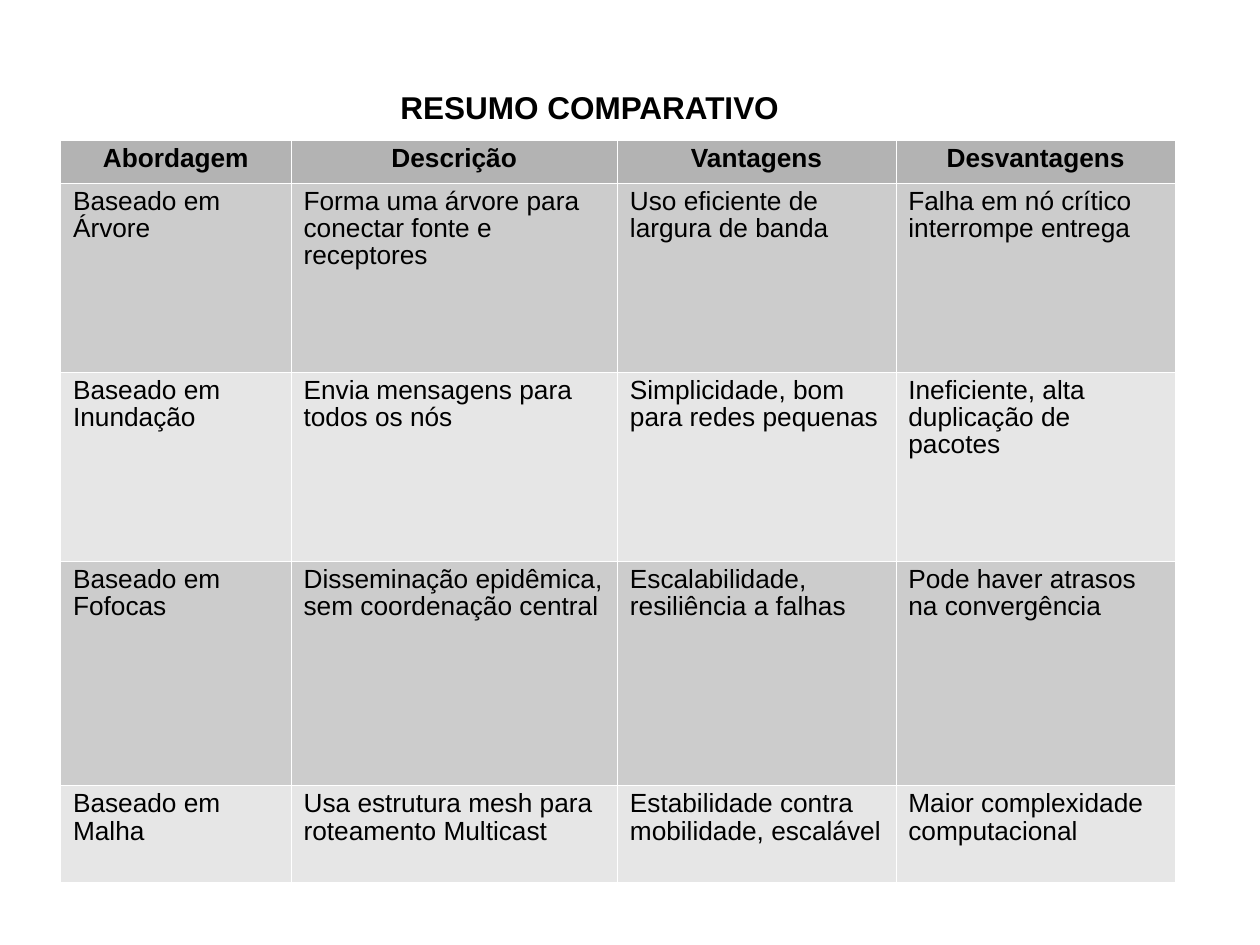
from lxml import etree
from pptx import Presentation
from pptx.dml.color import RGBColor
from pptx.enum.text import PP_ALIGN
from pptx.oxml.ns import qn
from pptx.util import Inches, Pt

CENTER, LEFT = PP_ALIGN.CENTER, PP_ALIGN.LEFT
FONT = "Arial"
BLACK, WHITE = "000000", "FFFFFF"
HEADER_FILL = "B3B3B3"
BAND_FILLS = ("CCCCCC", "E6E6E6")
BORDER_WIDTH = Pt(0.06)

COLUMN_WIDTHS = (1.83, 2.59, 2.21, 2.22)
ROW_HEIGHTS = (0.34, 1.5, 1.5, 1.78, 0.77)
APPROACHES = (
    ("Abordagem", "Descrição", "Vantagens", "Desvantagens"),
    ("Baseado em Árvore", "Forma uma árvore para conectar fonte e receptores",
     "Uso eficiente de largura de banda", "Falha em nó crítico interrompe entrega"),
    ("Baseado em Inundação", "Envia mensagens para todos os nós",
     "Simplicidade, bom para redes pequenas", "Ineficiente, alta duplicação de pacotes"),
    ("Baseado em Fofocas", "Disseminação epidêmica, sem coordenação central",
     "Escalabilidade, resiliência a falhas", "Pode haver atrasos na convergência"),
    ("Baseado em Malha", "Usa estrutura mesh para roteamento Multicast",
     "Estabilidade contra mobilidade, escalável", "Maior complexidade computacional"),
)


def color(value):
    return RGBColor.from_string(value)


def write(frame, text, size, bold, align=LEFT):
    frame.word_wrap = True
    paragraph = frame.paragraphs[0]
    paragraph.text = text
    paragraph.alignment = align
    paragraph.space_before = paragraph.space_after = Pt(0.1)
    font = paragraph.font
    font.name, font.size, font.bold = FONT, Pt(size), bold
    font.color.rgb = color(BLACK)
    return paragraph


def add_borders(cell):
    # Border lines must come before the fill in the cell properties
    properties = cell._tc.get_or_add_tcPr()
    for position, side in enumerate(("a:lnL", "a:lnR", "a:lnT", "a:lnB")):
        line = etree.Element(qn(side), w=str(BORDER_WIDTH))
        fill = etree.SubElement(line, qn("a:solidFill"))
        etree.SubElement(fill, qn("a:srgbClr"), val=WHITE)
        properties.insert(position, line)


def add_title(slide, left, top, width, height):
    title = slide.shapes.add_textbox(left, top, width, height)
    write(title.text_frame, "RESUMO COMPARATIVO", 18, True)


def add_comparison(slide, left, top, width, height):
    table = slide.shapes.add_table(
        len(ROW_HEIGHTS), len(COLUMN_WIDTHS), left, top, width, height).table
    for column, column_width in zip(table.columns, COLUMN_WIDTHS):
        column.width = Inches(column_width)
    for row, row_height in zip(table.rows, ROW_HEIGHTS):
        row.height = Inches(row_height)

    for row_index, texts in enumerate(APPROACHES):
        is_header = row_index == 0
        fill = HEADER_FILL if is_header else BAND_FILLS[(row_index - 1) % 2]
        for column_index, text in enumerate(texts):
            cell = table.cell(row_index, column_index)
            cell.fill.solid()
            cell.fill.fore_color.rgb = color(fill)
            add_borders(cell)
            paragraph = write(cell.text_frame, text, 15, is_header,
                              CENTER if is_header else LEFT)
            paragraph.line_spacing = 0.93


def main():
    presentation = Presentation()
    presentation.slide_width, presentation.slide_height = Inches(10), Inches(7.5)
    slide = presentation.slides.add_slide(presentation.slide_layouts[6])

    # Comparison table
    add_comparison(slide, Inches(0.48), Inches(1.11),
                   Inches(sum(COLUMN_WIDTHS)), Inches(sum(ROW_HEIGHTS)))
    # Heading above the table
    add_title(slide, Inches(3.08), Inches(0.65), Inches(3.24), Inches(0.4))

    presentation.save("out.pptx")


if __name__ == "__main__":
    main()
